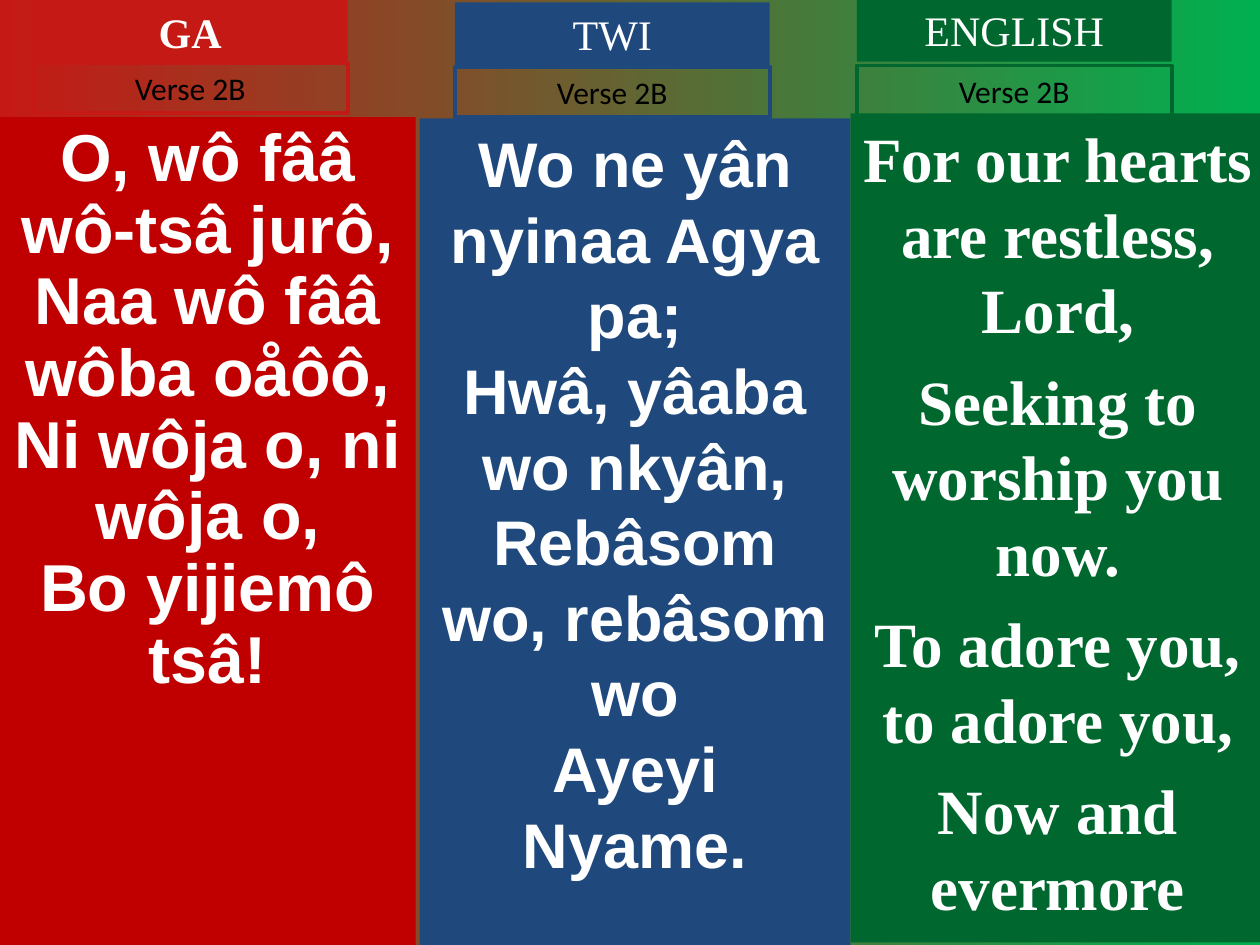
from dataclasses import dataclass
from pptx import Presentation
from pptx.dml.color import RGBColor
from pptx.enum import shapes, text
from pptx.util import Inches, Pt


@dataclass(frozen=True)
class Theme:
    red: str = "C51915"
    lime: str = "00B050"
    white: str = "FFFFFF"
    black: str = "000000"
    serif: str = "Times New Roman"
    sans: str = "Arial"
    plain: str = "Calibri"
    head: float = 24
    verse: float = 18
    lyric: float = 36
    large: float = 37.9
    edge: float = 2.25
    ratio: float = 1.2


@dataclass(frozen=True)
class Box:
    left: float
    top: float
    width: float
    height: float


@dataclass(frozen=True)
class Type:
    font: str
    size: float
    color: str
    bold: bool = False
    pitch: float = 0
    gap: float = 0


@dataclass(frozen=True)
class Column:
    name: str
    color: str
    fill: str
    left: float
    top: float
    sub: float
    body: Box
    inset: float
    style: Type
    lines: tuple[str, ...]
    bold: bool = False


T = Theme()
WIDE, HEAD, SUB = 2.5, 0.5, 0.4
LYRIC = T.lyric * T.ratio

COLUMNS = (
    Column("GA", T.red, "C00000", 0.26, 0, 0.5, Box(0, 0.93, 3.3, 6.57), 0.1,
           Type(T.sans, T.large, T.white, True, T.large * T.ratio * 0.9),
           ("O, wô fââ wô-tsâ jurô,", "Naa wô fââ wôba oåôô,",
            "Ni wôja o, ni wôja o,", "Bo yijiemô tsâ!"), True),
    Column("TWI", "1F497D", "1F497D", 3.61, 0.02, 0.53,
           Box(3.33, 0.94, 3.42, 6.56), 0.16,
           Type(T.sans, T.lyric, T.white, True, LYRIC),
           ("Wo ne yân nyinaa Agya pa;", "Hwâ, yâaba wo nkyân,",
            "Rebâsom wo, rebâsom wo", "Ayeyi Nyame.")),
    Column("ENGLISH", "00682F", "00682F", 6.8, -0.01, 0.52,
           Box(6.75, 0.9, 3.29, 6.58), 0.1,
           Type(T.serif, T.lyric, T.white, True, LYRIC, 9),
           ("For our hearts are restless, Lord,", "Seeking to worship you now.",
            "To adore you, to adore you,", "Now and evermore")),
)


def rgb(code: str) -> RGBColor:
    return RGBColor.from_string(code)


def panel(slide, box: Box, lines: tuple[str, ...], style: Type,
          fill: str = "", line: str = "", inset: float = 0.1) -> None:
    shape = slide.shapes.add_shape(
        shapes.MSO_SHAPE.RECTANGLE, Inches(box.left), Inches(box.top),
        Inches(box.width), Inches(box.height))
    shape.shadow.inherit = False
    if fill:
        shape.fill.solid()
        shape.fill.fore_color.rgb = rgb(fill)
    else:
        shape.fill.background()
    if line:
        shape.line.color.rgb = rgb(line)
        shape.line.width = Pt(T.edge)
    else:
        shape.line.fill.background()
    frame = shape.text_frame
    frame.word_wrap = True
    frame.vertical_anchor = text.MSO_ANCHOR.TOP
    frame.margin_left = frame.margin_right = Inches(inset)
    frame.margin_top = frame.margin_bottom = Inches(0.05)
    for i, words in enumerate(lines):
        para = frame.add_paragraph() if i else frame.paragraphs[0]
        para.alignment = text.PP_ALIGN.CENTER
        if style.pitch:
            para.line_spacing = Pt(style.pitch)
        if i and style.gap:
            para.space_before = Pt(style.gap)
        run = para.add_run()
        run.text = words
        run.font.name = style.font
        run.font.size = Pt(style.size)
        run.font.bold = style.bold
        run.font.color.rgb = rgb(style.color)


def column(slide, col: Column) -> None:
    panel(slide, col.body, col.lines, col.style, fill=col.fill, inset=col.inset)
    panel(slide, Box(col.left, col.top, WIDE, HEAD), (col.name,),
          Type(T.serif, T.head, T.white, col.bold), fill=col.color)
    panel(slide, Box(col.left, col.sub, WIDE, SUB), ("Verse 2B",),
          Type(T.plain, T.verse, T.black), line=col.color)


def paint(slide) -> None:
    fill = slide.background.fill
    fill.gradient()
    fill.gradient_angle = 0
    for stop, code, place in zip(fill.gradient_stops, (T.red, T.lime), (0, 1)):
        stop.color.rgb = rgb(code)
        stop.position = place


def main() -> None:
    deck = Presentation()
    deck.slide_width, deck.slide_height = Inches(10), Inches(7.5)
    slide = deck.slides.add_slide(deck.slide_layouts[6])
    paint(slide)
    for col in COLUMNS:
        column(slide, col)
    deck.save("out.pptx")


if __name__ == "__main__":
    main()
